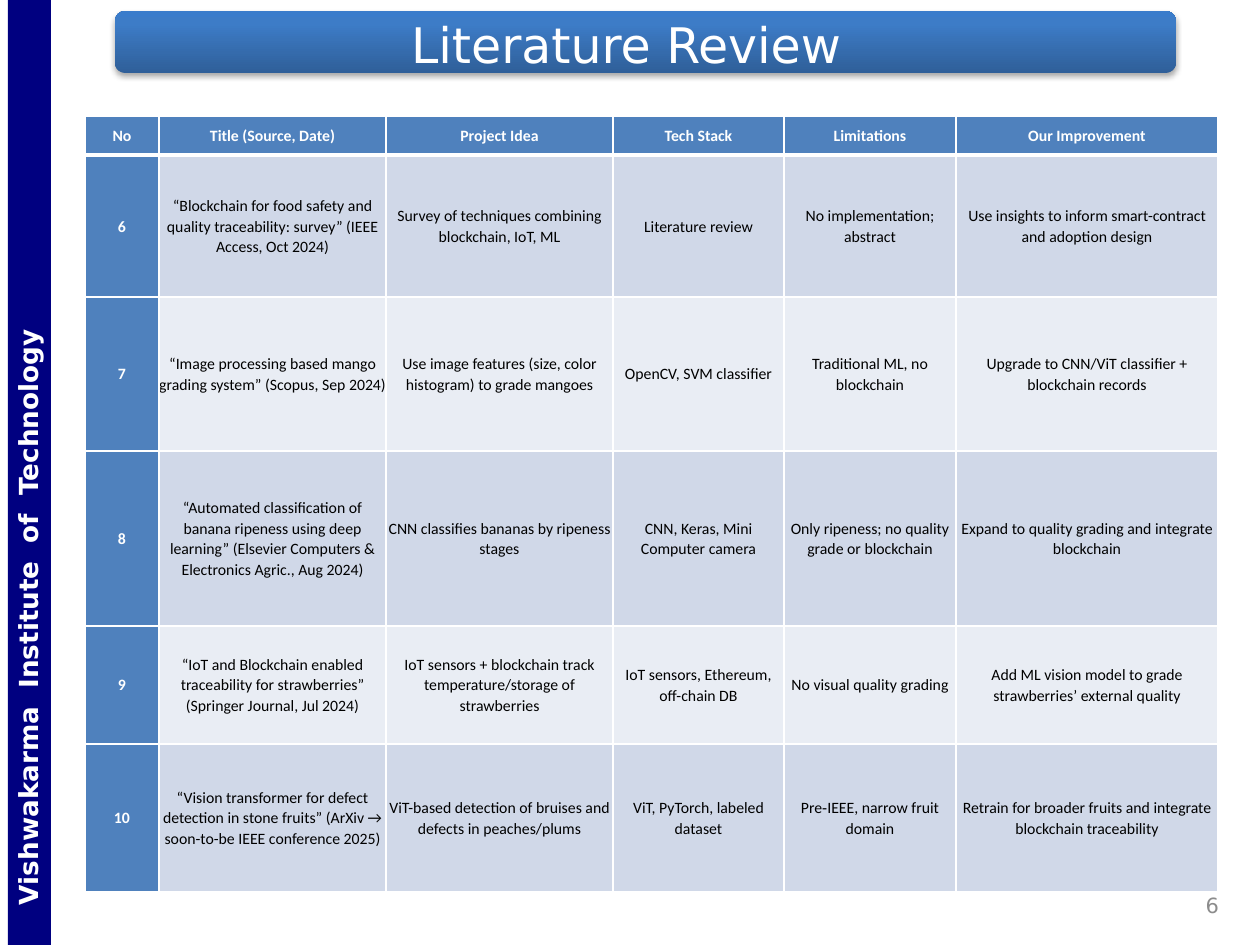
from copy import deepcopy
from dataclasses import dataclass

from lxml.etree import SubElement
from pptx import Presentation
from pptx.dml.color import RGBColor
from pptx.enum.shapes import MSO_SHAPE
from pptx.enum.text import MSO_ANCHOR, PP_ALIGN
from pptx.oxml.ns import qn
from pptx.util import Emu, Pt

COLORS = {
    "white": "FFFFFF", "black": "000000", "navy": "000080", "gray": "8C8C8C",
    "head": "4F81BD", "odd": "D0D8E8", "even": "E9EDF4",
    "deep": "2F5F99", "mid": "3D7CC7", "light": "3A7CCB",
}
SANS = "DejaVu Sans"
BODY = "Calibri"
WIDTHS = (74, 227, 227, 171, 172, 262)
HEADS = ("No", "Title (Source, Date)", "Project Idea", "Tech Stack",
         "Limitations", "Our Improvement")


@dataclass(frozen=True)
class Box:
    left: int
    top: int
    width: int
    height: int


@dataclass(frozen=True)
class Paper:
    height: int
    cells: tuple[str, ...]


PAPERS = (
    Paper(142, (
        "6",
        "“Blockchain for food safety and quality traceability: survey” (IEEE Access, Oct 2024)",
        "Survey of techniques combining blockchain, IoT, ML",
        "Literature review",
        "No implementation; abstract",
        "Use insights to inform smart-contract and adoption design")),
    Paper(154, (
        "7",
        "“Image processing based mango grading system” (Scopus, Sep 2024)",
        "Use image features (size, color histogram) to grade mangoes",
        "OpenCV, SVM classifier",
        "Traditional ML, no blockchain",
        "Upgrade to CNN/ViT classifier + blockchain records")),
    Paper(175, (
        "8",
        "“Automated classification of banana ripeness using deep learning” "
        "(Elsevier Computers & Electronics Agric., Aug 2024)",
        "CNN classifies bananas by ripeness stages",
        "CNN, Keras, Mini Computer camera",
        "Only ripeness; no quality grade or blockchain",
        "Expand to quality grading and integrate blockchain")),
    Paper(118, (
        "9",
        "“IoT and Blockchain enabled traceability for strawberries” (Springer Journal, Jul 2024)",
        "IoT sensors + blockchain track temperature/storage of strawberries",
        "IoT sensors, Ethereum, off-chain DB",
        "No visual quality grading",
        "Add ML vision model to grade strawberries’ external quality")),
    Paper(148, (
        "10",
        "“Vision transformer for defect detection in stone fruits” "
        "(ArXiv → soon-to-be IEEE conference 2025)",
        "ViT-based detection of bruises and defects in peaches/plums",
        "ViT, PyTorch, labeled dataset",
        "Pre‑IEEE, narrow fruit domain",
        "Retrain for broader fruits and integrate blockchain traceability")),
)


def px(count: int) -> Emu:
    return Emu(round(count * 914400 / 126))


def span(box: Box) -> tuple[Emu, ...]:
    return px(box.left), px(box.top), px(box.width), px(box.height)


def tint(name: str) -> RGBColor:
    return RGBColor.from_string(COLORS[name])


def write(frame, text: str, *, size: int, color: str, font: str = SANS,
          bold: bool = False, align=PP_ALIGN.CENTER, anchor=MSO_ANCHOR.MIDDLE,
          pads: tuple[int, ...] = (13, 6, 13, 6), line: float = 1.0,
          gap: int = 0) -> None:
    frame.word_wrap = True
    frame.vertical_anchor = anchor
    (frame.margin_left, frame.margin_top,
     frame.margin_right, frame.margin_bottom) = map(px, pads)
    para = frame.paragraphs[0]
    para.alignment = align
    para.line_spacing = line
    parts = text.replace(" ", "| |").split("|") if gap else [text]
    for part in parts:
        run = para.add_run()
        run.text = part
        run.font.size = Pt(size)
        run.font.name = font
        run.font.bold = bold
        run.font.color.rgb = tint(color)
        if part == " ":
            run._r.get_or_add_rPr().set("spc", str(gap))


def add_shape(slide, kind, box: Box):
    shape = slide.shapes.add_shape(kind, *span(box))
    shape.shadow.inherit = False
    shape.line.fill.background()
    return shape


def add_bar(slide) -> None:
    bar = add_shape(slide, MSO_SHAPE.ROUNDED_RECTANGLE, Box(115, 11, 1061, 62))
    bar.fill.gradient()
    bar.fill.gradient_angle = 90
    first, last = bar.fill.gradient_stops
    last._gs.addprevious(deepcopy(first._gs))
    stops = zip(bar.fill.gradient_stops, ("deep", "mid", "light"), (0, 0.8, 1))
    for stop, name, place in stops:
        stop.color.rgb = tint(name)
        stop.position = place
    glow = SubElement(bar._element.spPr.find(qn("a:effectLst")), qn("a:outerShdw"),
                      blurRad="40000", dist="23000", dir="5400000", rotWithShape="0")
    shade = SubElement(glow, qn("a:srgbClr"), val=COLORS["black"])
    SubElement(shade, qn("a:alpha"), val="35000")


def add_band(slide) -> None:
    band = add_shape(slide, MSO_SHAPE.RECTANGLE, Box(-443, 451, 945, 43))
    band.rotation = 270
    band.fill.solid()
    band.fill.fore_color.rgb = tint("navy")
    write(band.text_frame, "Vishwakarma Institute of Technology", size=15,
          color="white", bold=True, align=PP_ALIGN.LEFT, anchor=MSO_ANCHOR.TOP,
          pads=(40, 4, 13, 0), gap=520)


def add_edge(cell, side: str, points: int) -> None:
    edge = SubElement(cell._tc.get_or_add_tcPr(), qn(f"a:ln{side}"),
                      w=str(Pt(points)))
    fill = SubElement(edge, qn("a:solidFill"))
    SubElement(fill, qn("a:srgbClr"), val=COLORS["white"])


def add_grid(slide) -> None:
    rows = (Paper(39, HEADS),) + PAPERS
    box = Box(85, 116, sum(WIDTHS), sum(row.height for row in rows))
    grid = slide.shapes.add_table(len(rows), len(WIDTHS), *span(box)).table
    for col, width in zip(grid.columns, WIDTHS):
        col.width = px(width)
    for r, row in enumerate(rows):
        grid.rows[r].height = px(row.height)
        for c, text in enumerate(row.cells):
            cell = grid.cell(r, c)
            head = r == 0 or c == 0
            write(cell.text_frame, text, size=9, font=BODY, bold=head,
                  color="white" if head else "black", line=1.07)
            cell.vertical_anchor = MSO_ANCHOR.MIDDLE
            cell.margin_left = cell.margin_right = 0
            cell.margin_top = cell.margin_bottom = 0
            thick = {"T": r == 1, "B": r == 0}
            for side in "LRTB":
                add_edge(cell, side, 3 if thick.get(side) else 1)
            cell.fill.solid()
            cell.fill.fore_color.rgb = tint(
                "head" if head else "odd" if r % 2 else "even")


def main() -> None:
    deck = Presentation()
    deck.slide_width, deck.slide_height = px(1260), px(945)
    slide = deck.slides.add_slide(deck.slide_layouts[5])
    add_bar(slide)
    add_band(slide)
    page = slide.shapes.add_textbox(*span(Box(1018, 892, 221, 27)))
    write(page.text_frame, "6", size=12, color="gray", align=PP_ALIGN.RIGHT,
          pads=(13, 0, 20, 0))
    title = slide.shapes.title
    title.left, title.top, title.width, title.height = span(Box(227, 0, 798, 88))
    write(title.text_frame, "Literature Review", size=28, color="white")
    slide.shapes._spTree.append(title._element)
    add_grid(slide)
    deck.save("out.pptx")


if __name__ == "__main__":
    main()
